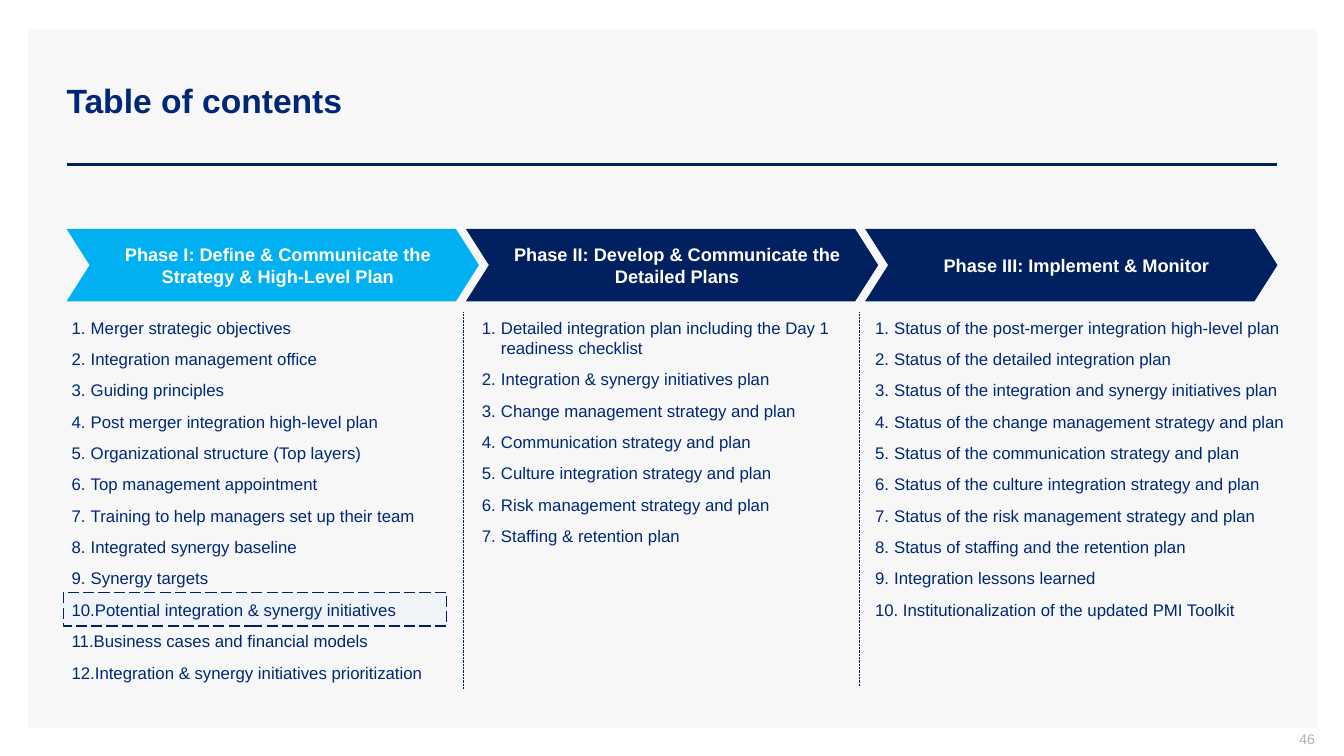
from pptx import Presentation, util as u
from pptx.dml.color import RGBColor
from pptx.enum import shapes as sh, text as tx, dml
from pptx.oxml import parse_xml
from pptx.oxml.ns import nsdecls

NAVY, INK, SKY = "002060", "002776", "00B0F0"


def hue(code):
    return RGBColor.from_string(code)


def add_run(para, words, size, code, bold=False):
    run = para.add_run()
    run.text = words
    font = run.font
    font.name, font.size, font.bold = "Arial", u.Pt(size), bold
    font.color.rgb = hue(code)


deck = Presentation()
deck.slide_width, deck.slide_height = u.Inches(13.33), u.Inches(7.5)
page = deck.slides.add_slide(deck.slide_layouts[5])
parts = page.shapes

# Grid: three phases between the left and right edges
LEFT, RIGHT, TOP = 0.66, 12.67, 3.1
STEP, WIDE = 3.96, 4.09

# Grey panel behind everything
panel = parts.add_shape(sh.MSO_SHAPE.RECTANGLE, u.Inches(0.28), u.Inches(0.29),
                        u.Inches(12.78), u.Inches(6.93))
panel.shadow.inherit = False
panel.fill.solid()
panel.fill.fore_color.rgb = hue("F7F7F7")
panel.line.fill.background()
parts._spTree.insert(2, panel._element)

# Title
title = parts.title
title.left, title.top = u.Inches(LEFT - 0.1), u.Inches(0.4)
title.width, title.height = u.Inches(RIGHT - LEFT + 0.1), u.Inches(1.19)
title.text_frame.vertical_anchor = tx.MSO_ANCHOR.MIDDLE
head = title.text_frame.paragraphs[0]
head.alignment = tx.PP_ALIGN.LEFT
add_run(head, "Table of contents", 24, INK, True)

# Rule under the title and dotted lines between the columns
DOTS = dml.MSO_LINE.ROUND_DOT
for x1, y1, x2, y2, thick, dash in [
        (LEFT, 1.63, RIGHT, 1.63, 2, None),
        (4.6, TOP, 4.6, 6.84, 0.5, DOTS),
        (8.52, TOP, 8.52, 6.8, 0.5, DOTS)]:
    rule = parts.add_connector(sh.MSO_CONNECTOR.STRAIGHT, u.Inches(x1),
                               u.Inches(y1), u.Inches(x2), u.Inches(y2))
    rule.line.color.rgb = hue(NAVY)
    rule.line.width = u.Pt(thick)
    if dash:
        rule.line.dash_style = dash
    rule._element.spPr.append(parse_xml(f"<a:effectLst {nsdecls('a')}/>"))

# Dashed frame around the current topic
frame = parts.add_shape(sh.MSO_SHAPE.RECTANGLE, u.Inches(0.63), u.Inches(5.88),
                        u.Inches(3.8), u.Inches(0.33))
frame.shadow.inherit = False
frame.fill.solid()
frame.fill.fore_color.rgb = hue("D6E3FF")
tint = frame.fill._xPr.solidFill.srgbClr
tint.append(parse_xml(f'<a:alpha {nsdecls("a")} val="20000"/>'))
frame.line.color.rgb = hue(NAVY)
frame.line.width = u.Pt(1)
frame.line.dash_style = dml.MSO_LINE.LONG_DASH

# Phases: heading, colour, list left, list width, left inset, topics
phases = [
    ("Phase I: Define & Communicate the Strategy & High-Level Plan", SKY,
     0.71, 3.89, 0, [
         "Merger strategic objectives",
         "Integration management office",
         "Guiding principles",
         "Post merger integration high-level plan",
         "Organizational structure (Top layers)",
         "Top management appointment",
         "Training to help managers set up their team",
         "Integrated synergy baseline",
         "Synergy targets",
         "Potential integration & synergy initiatives",
         "Business cases and financial models",
         "Integration & synergy initiatives prioritization"]),
    ("Phase II: Develop & Communicate the Detailed Plans", NAVY,
     4.68, 3.78, 0.1, [
         "Detailed integration plan including the Day 1 readiness checklist",
         "Integration & synergy initiatives plan",
         "Change management strategy and plan",
         "Communication strategy and plan",
         "Culture integration strategy and plan",
         "Risk management strategy and plan",
         "Staffing & retention plan"]),
    ("Phase III: Implement & Monitor", NAVY,
     8.58, 4.32, 0.1, [
         "Status of the post-merger integration high-level plan",
         "Status of the detailed integration plan",
         "Status of the integration and synergy initiatives plan",
         "Status of the change management strategy and plan",
         "Status of the communication strategy and plan",
         "Status of the culture integration strategy and plan",
         "Status of the risk management strategy and plan",
         "Status of staffing and the retention plan",
         "Integration lessons learned",
         " Institutionalization of the updated PMI Toolkit"]),
]
for col, (name, code, left, width, inset, topics) in enumerate(phases):
    # Chevron heading
    arrow = parts.add_shape(sh.MSO_SHAPE.CHEVRON, u.Inches(LEFT + col * STEP),
                            u.Inches(2.27), u.Inches(WIDE), u.Inches(0.72))
    arrow.adjustments[0] = 0.318
    arrow.shadow.inherit = False
    arrow.fill.solid()
    arrow.fill.fore_color.rgb = hue(code)
    arrow.line.fill.background()
    body = arrow.text_frame
    body.word_wrap = True
    body.vertical_anchor = tx.MSO_ANCHOR.MIDDLE
    body.margin_left, body.margin_right = u.Inches(0.1), 0
    para = body.paragraphs[0]
    para.alignment = tx.PP_ALIGN.CENTER
    add_run(para, name, 13, "FFFFFF", True)

    # Numbered topics
    rows = len(topics) + (col == 1) * 0.6
    box = parts.add_textbox(u.Inches(left), u.Inches(TOP), u.Inches(width),
                            u.Inches(0.1 + rows * 0.3))
    body = box.text_frame
    body.word_wrap = True
    body.margin_left = u.Inches(inset)
    for row, topic in enumerate(topics):
        para = body.add_paragraph() if row else body.paragraphs[0]
        props = para._p.get_or_add_pPr()
        props.set("marL", str(u.Inches(0.19)))
        props.set("indent", str(-u.Inches(0.19)))
        props.append(parse_xml(
            f'<a:buFont {nsdecls("a")} typeface="+mj-lt"/>'))
        props.append(parse_xml(
            f'<a:buAutoNum {nsdecls("a")} type="arabicPeriod"/>'))
        para.space_before = u.Pt(4 if row else 0)
        para.space_after = u.Pt(4)
        add_run(para, topic, 12, INK)

# Page number
box = parts.add_textbox(u.Inches(10.04), u.Inches(7.25), u.Inches(3), u.Inches(0.21))
body = box.text_frame
body.word_wrap = True
body.vertical_anchor = tx.MSO_ANCHOR.MIDDLE
body.margin_top, body.margin_right = 0, 0
para = body.paragraphs[0]
para.alignment = tx.PP_ALIGN.RIGHT
add_run(para, "46", 10, "ADAFBB")

deck.save("out.pptx")
